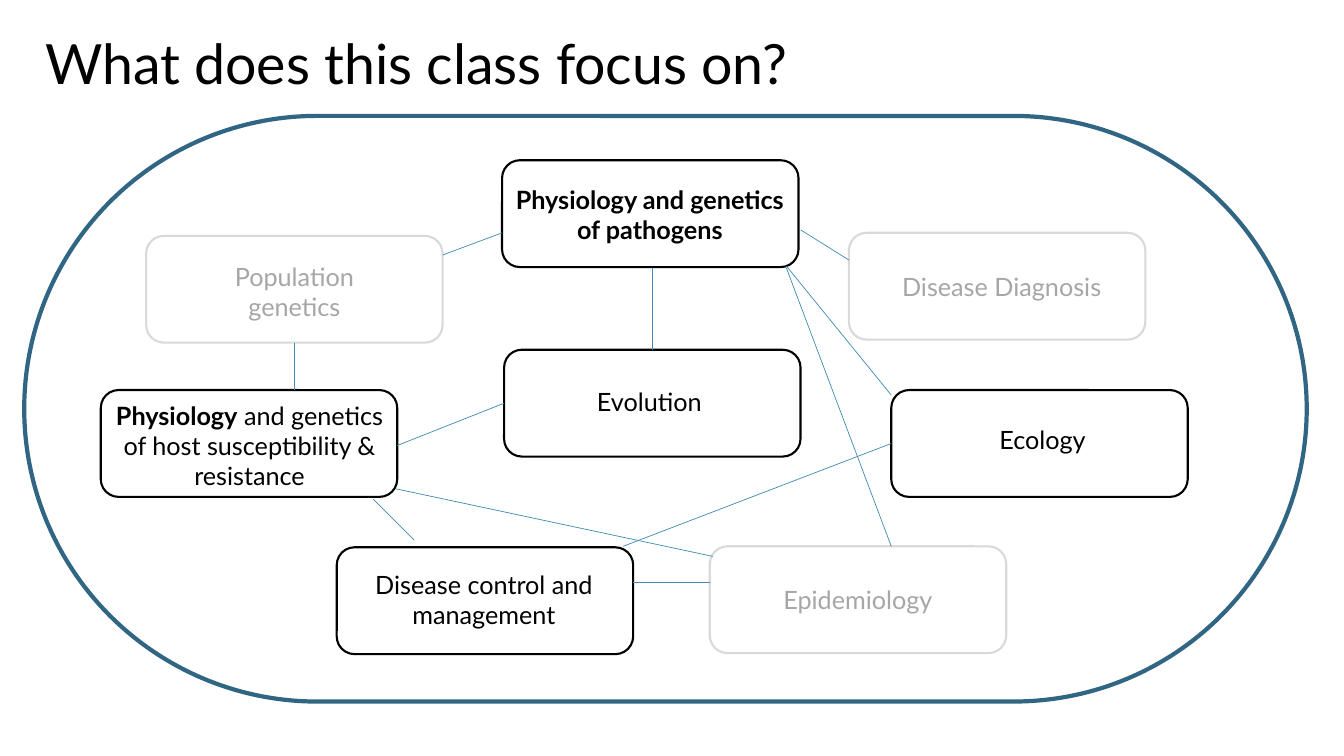
import pptx
import pptx.util
import pptx.dml.color
import pptx.enum.shapes
import pptx.enum.text
import pptx.oxml.ns
import lxml.etree

Inches = pptx.util.Inches
Pt = pptx.util.Pt
ANCHOR = pptx.enum.text.MSO_ANCHOR
ALIGN = pptx.enum.text.PP_ALIGN

BLACK, GREY, PALE = "000000", "A6A6A6", "D9D9D9"
BLUE, DARK_BLUE = "418AB3", "306684"
BOX_W, BOX_H = 2.94, 1.06

TOPIC_BOXES = [
    (1, 3.87, BLACK),
    (3.34, 5.43, BLACK),
    (7.04, 5.42, PALE),
    (8.42, 2.31, PALE),
    (8.84, 3.87, BLACK),
    (4.98, 1.59, BLACK),
    (1.45, 2.34, PALE),
    (5, 3.47, BLACK),
]

TOPIC_LABELS = [
    (4.89, 1.78, 3.11, 0.71, BLACK, [("Physiology and genetics of pathogens", True)]),
    (0.92, 3.92, 3.11, 1.01, BLACK,
     [("Physiology", True), (" and genetics of host susceptibility & resistance", False)]),
    (8.38, 2.64, 3.11, 0.4, GREY, [("Disease Diagnosis", False)]),
    (7.41, 5.75, 2.2, 0.4, GREY, [("Epidemiology", False)]),
    (3.62, 5.6, 2.36, 0.71, BLACK, [("Disease control and management", False)]),
    (5.58, 3.78, 1.72, 0.4, BLACK, [("Evolution", False)]),
    (2.06, 2.54, 1.72, 0.71, GREY, [("Population genetics", False)]),
    (9.24, 4.16, 2.2, 0.4, BLACK, [("Ecology", False)]),
]

TOPIC_LINKS = [
    (4.39, 2.53, 4.98, 2.31),
    (2.92, 3.4, 2.92, 3.87),
    (6.47, 2.66, 6.47, 3.47),
    (5, 4, 3.94, 4.42),
    (8.42, 2.58, 7.94, 2.28),
    (8.84, 3.92, 7.8, 2.64),
    (6.18, 5.42, 8.84, 4.4),
    (3.7, 4.95, 4.11, 5.36),
    (7.04, 5.78, 6.28, 5.78),
    (7.8, 2.66, 8.84, 5.42),
    (7.07, 5.52, 3.93, 4.85),
]


def set_color(target, value):
    target.rgb = pptx.dml.color.RGBColor.from_string(value)


def set_attrs(target, values):
    for name, value in values.items():
        setattr(target, name, value)


def add_text(s, left, top, width, height, color, runs, size=18, frame=None, para=None):
    sp = s.shapes.add_textbox(Inches(left), Inches(top), Inches(width), Inches(height))
    tf = sp.text_frame
    set_attrs(tf, {"word_wrap": True, **(frame or {})})
    p = tf.paragraphs[0]
    set_attrs(p, para or {"alignment": ALIGN.CENTER})
    for text, bold in runs:
        r = p.add_run()
        r.text = text
        set_attrs(r.font, {"name": "Lato", "size": Pt(size), "bold": bold})
        set_color(r.font.color, color)


def add_outline(s, left, top, width, height, color, weight, corner=None):
    sp = s.shapes.add_shape(
        pptx.enum.shapes.MSO_SHAPE.ROUNDED_RECTANGLE,
        Inches(left), Inches(top), Inches(width), Inches(height))
    sp.shadow.inherit = False
    sp.fill.background()
    set_color(sp.line.color, color)
    sp.line.width = Pt(weight)
    if corner is not None:
        sp.adjustments[0] = corner


def add_link(s, x1, y1, x2, y2):
    sp = s.shapes.add_connector(
        pptx.enum.shapes.MSO_CONNECTOR.STRAIGHT,
        Inches(x1), Inches(y1), Inches(x2), Inches(y2))
    set_color(sp.line.color, BLUE)
    sp.line.width = Pt(0.5)
    lxml.etree.SubElement(sp._element.spPr, pptx.oxml.ns.qn("a:effectLst"))


def main():
    prs = pptx.Presentation()
    set_attrs(prs, {"slide_width": Inches(13.33), "slide_height": Inches(7.5)})
    s = prs.slides.add_slide(prs.slide_layouts[6])
    add_text(s, 0.35, 0.45, 11.5, 0.42, BLACK,
             [("What does this class focus on?", False)], size=39.6,
             frame={"vertical_anchor": ANCHOR.MIDDLE},
             para={"alignment": ALIGN.LEFT, "line_spacing": 0.9})
    for label in TOPIC_LABELS:
        add_text(s, *label)
    for left, top, color in TOPIC_BOXES:
        add_outline(s, left, top, BOX_W, BOX_H, color, 1.5)
    add_outline(s, 0.24, 1.15, 12.72, 5.81, DARK_BLUE, 3, corner=0.5)
    for link in TOPIC_LINKS:
        add_link(s, *link)
    prs.save("out.pptx")


if __name__ == "__main__":
    main()
